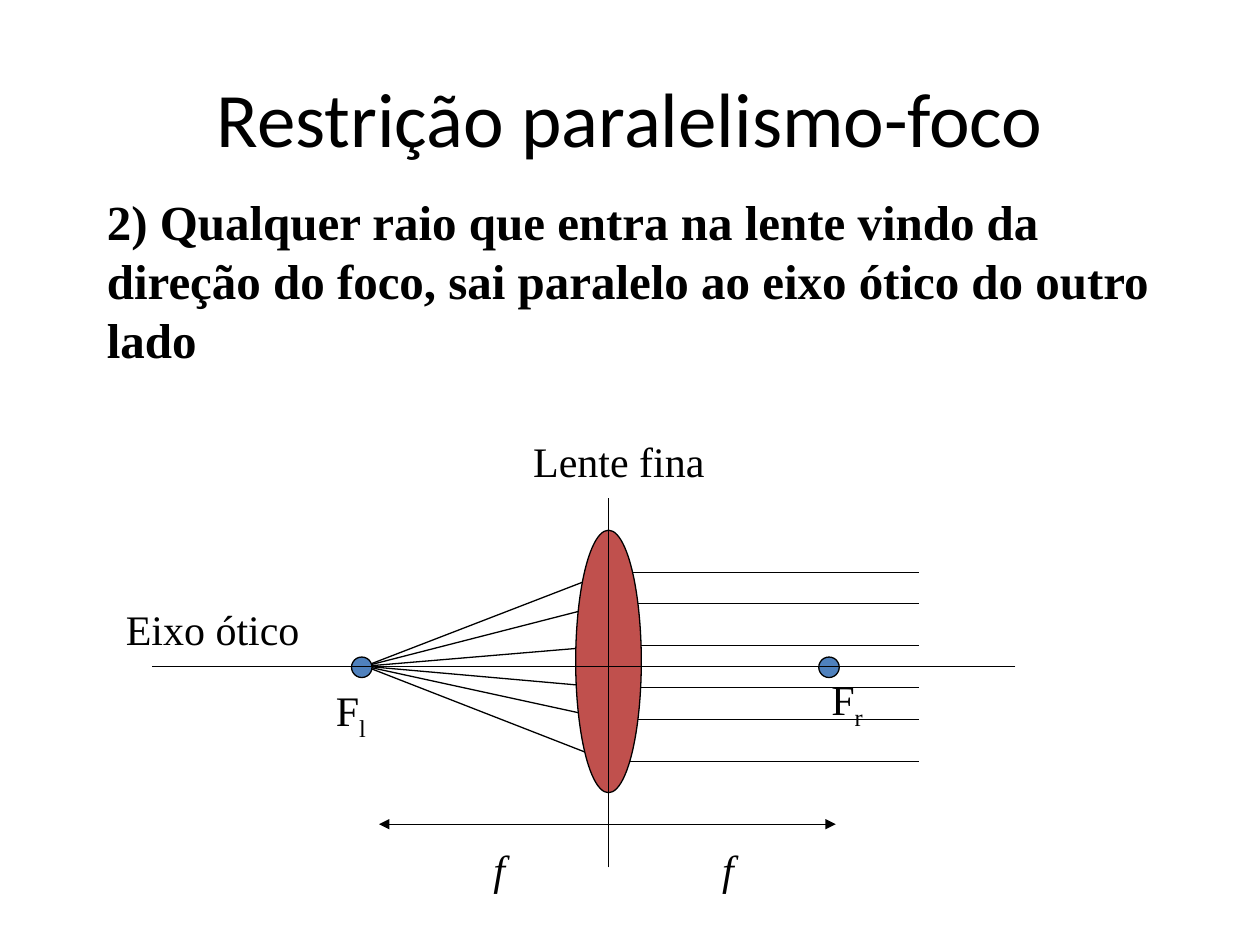
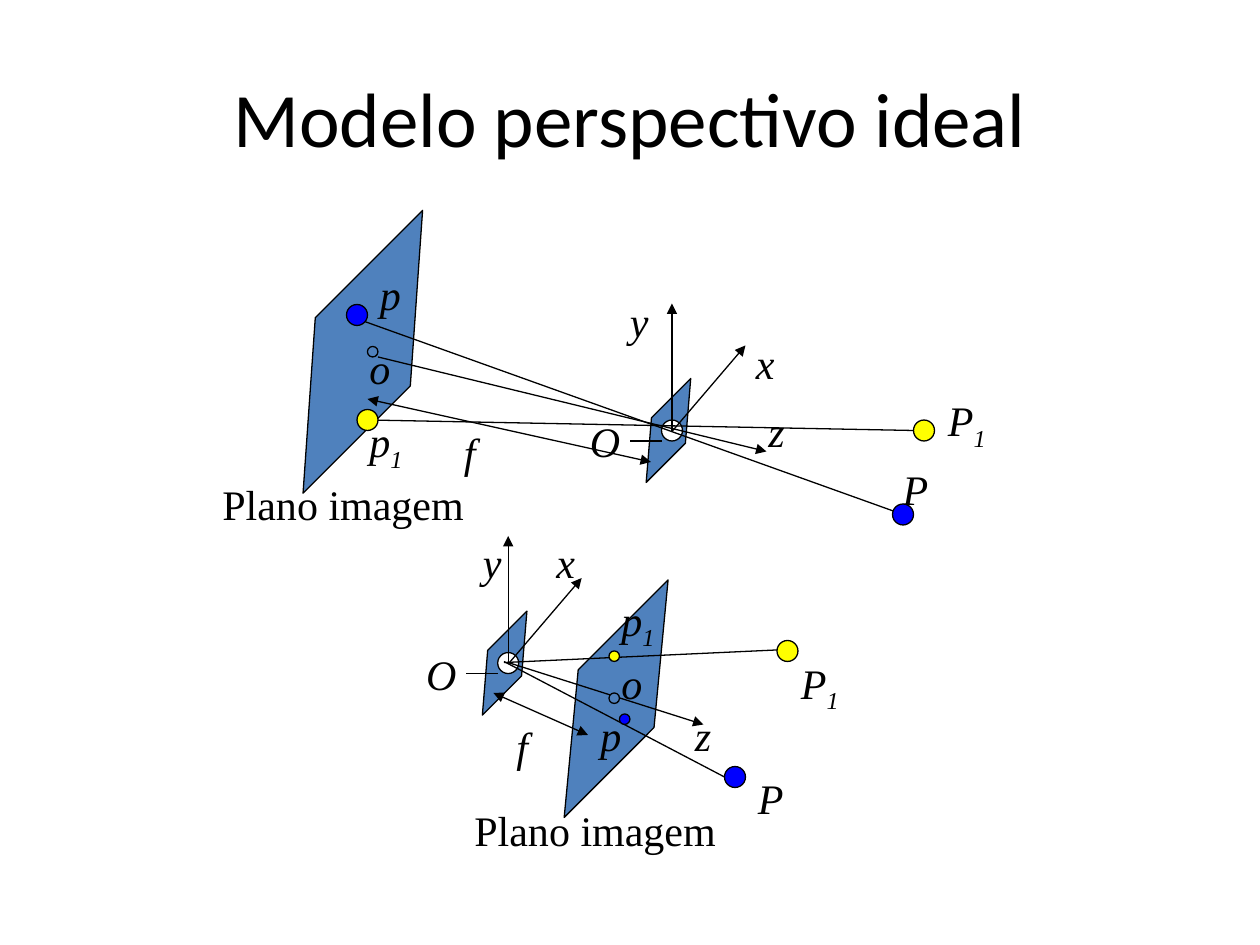
from dataclasses import dataclass

import pptx
import pptx.dml.color
import pptx.enum.shapes
import pptx.enum.text
import pptx.oxml.ns
import pptx.util
from lxml import etree

SHAPES = pptx.enum.shapes.MSO_SHAPE
ALIGN = pptx.enum.text.PP_ALIGN
ANCHOR = pptx.enum.text.MSO_ANCHOR
qn = pptx.oxml.ns.qn

COLUMNS, ROWS = 120, 90
CELL = pptx.util.Inches(10) // COLUMNS


@dataclass(frozen=True)
class Theme:
    ink: str = "000000"
    plane: str = "4F81BD"
    lens: str = "C0504D"
    white: str = "FFFFFF"
    blue: str = "0000FF"
    yellow: str = "FFFF00"
    title_font: str = "Calibri"
    body_font: str = "Times New Roman"
    title_size: int = 44
    statement_size: int = 28
    label_size: int = 24
    line_width: float = 0.75


THEME = Theme()


@dataclass(frozen=True)
class Figure:
    x: float
    y: float
    w: float
    h: float
    fill: str
    slant: float = 0


@dataclass(frozen=True)
class Line:
    x1: float
    y1: float
    x2: float
    y2: float
    ends: tuple[str, ...] = ()


@dataclass(frozen=True)
class Label:
    x: float
    y: float
    w: float
    text: str
    sub: str = ""
    italic: bool = True


@dataclass(frozen=True)
class Scene:
    pinhole: tuple[float, float]
    image_plane: Figure
    lines: list[Line]
    labels: list[Label]
    dots: list[Figure]


TO: tuple[str, ...] = ("tailEnd",)
BOTH: tuple[str, ...] = ("headEnd", "tailEnd")


def grid(*cells: float) -> list[int]:
    return [round(c * CELL) for c in cells]


def rgb(color: str) -> pptx.dml.color.RGBColor:
    return pptx.dml.color.RGBColor.from_string(color)


def set_line(line) -> None:
    line.color.rgb = rgb(THEME.ink)
    line.width = pptx.util.Pt(THEME.line_width)


def dot(x: float, y: float, fill: str, size: float = 2) -> Figure:
    return Figure(x, y, size, size, fill)


def draw_figure(s, f: Figure) -> None:
    kind = SHAPES.PARALLELOGRAM if f.slant else SHAPES.OVAL
    sp = s.shapes.add_shape(kind, *grid(f.x - f.w / 2, f.y - f.h / 2, f.w, f.h))
    if f.slant:
        sp.adjustments[0] = f.slant
        sp.rotation = 315
    sp.shadow.inherit = False
    sp.fill.solid()
    sp.fill.fore_color.rgb = rgb(f.fill)
    set_line(sp.line)


def draw_line(s, line: Line) -> None:
    sp = s.shapes.add_connector(
        pptx.enum.shapes.MSO_CONNECTOR.STRAIGHT,
        *grid(line.x1, line.y1, line.x2, line.y2),
    )
    set_line(sp.line)
    props = sp._element.spPr
    for end in line.ends:
        etree.SubElement(props.find(qn("a:ln")), qn(f"a:{end}"), type="triangle")
    etree.SubElement(props, qn("a:effectLst"))


def add_text(s, box: list[int], text: str, font: str, size: int, wrap: bool = True):
    tf = s.shapes.add_textbox(*box).text_frame
    tf.word_wrap = wrap
    p = tf.paragraphs[0]
    p.add_run().text = text
    p.font.name = font
    p.font.size = pptx.util.Pt(size)
    p.font.color.rgb = rgb(THEME.ink)
    return tf


def draw_label(s, label: Label) -> None:
    box = grid(label.x, label.y, label.w, 6.72 if label.sub else 6)
    tf = add_text(s, box, label.text, THEME.body_font, THEME.label_size, wrap=False)
    tf.auto_size = pptx.enum.text.MSO_AUTO_SIZE.SHAPE_TO_FIT_TEXT
    p = tf.paragraphs[0]
    p.font.italic = label.italic
    if label.sub:
        r = p.add_run()
        r.text = label.sub
        r._r.get_or_add_rPr().set("baseline", "-25000")


def draw_all(s, lines: list[Line], labels: list[Label], figures: list[Figure]) -> None:
    for line in lines:
        draw_line(s, line)
    for label in labels:
        draw_label(s, label)
    for figure in figures:
        draw_figure(s, figure)


def add_slide(prs, title: str):
    s = prs.slides.add_slide(prs.slide_layouts[6])
    tf = add_text(s, grid(6, 3.6, 108, 15), title, THEME.title_font, THEME.title_size)
    tf.vertical_anchor = ANCHOR.MIDDLE
    tf.paragraphs[0].alignment = ALIGN.CENTER
    return s


def build_focus(prs) -> None:
    s = add_slide(prs, "Restrição paralelismo-foco")
    lens_x, axis_y, arrow_y = 57.95, 63.45, 78.5
    left_focus, right_focus = 34.45, 78.95
    rays = []
    for y in (54.5, 57.5, 61.5, 65.5, 68.5, 72.5):
        rays.append(Line(87.5, y, lens_x, y))
        rays.append(Line(lens_x, y, left_focus + 0.3, axis_y))
    spans = [Line(lens_x, arrow_y, x, arrow_y, TO) for x in (36.1, 79.6)]
    labels = [
        Label(30.8, 64.6, 5.4, "F", "l", italic=False),
        Label(78, 63.6, 5.5, "F", "r", italic=False),
        Label(49.6, 40.9, 18.8, "Lente fina", italic=False),
        Label(10.8, 56.9, 19.1, "Eixo ótico", italic=False),
        Label(67.6, 79.7, 3.5, "f"),
        Label(45.8, 79.7, 3.5, "f"),
    ]
    figures = [dot(x, 63.55, THEME.plane, 1.95) for x in (left_focus, right_focus)]
    figures.append(Figure(lens_x, 63, 6.25, 25, THEME.lens))
    draw_all(s, rays + spans, labels, figures)
    draw_line(s, Line(lens_x, 82.6, lens_x, 47.4))
    draw_line(s, Line(96.7, axis_y, 14.5, axis_y))
    tf = add_text(
        s,
        grid(9, 17.65, 104, 18),
        "2) Qualquer raio que entra na lente vindo da direção do foco, "
        "sai paralelo ao eixo ótico do outro lado",
        THEME.body_font,
        THEME.statement_size,
    )
    tf.paragraphs[0].font.bold = True


def draw_scene(s, scene: Scene) -> None:
    x, y = scene.pinhole
    for figure in (
        scene.image_plane,
        Figure(x - 0.34, y, 10, 4, THEME.plane, 1.18),
        dot(x, y, THEME.white),
    ):
        draw_figure(s, figure)
    camera_lines = [
        Line(x - 4, y + 1, x - 1, y + 1),
        Line(x, y + 0.1, x, y - 12.1, TO),
        Line(x, y + 0.1, x + 7, y - 8.1, TO),
    ]
    origin = Label(x - 9, y - 2, 5.3, "O")
    draw_all(s, camera_lines + scene.lines, [origin] + scene.labels, scene.dots)


BEHIND = Scene(
    pinhole=(64, 41),
    image_plane=Figure(34.56, 33.5, 27.1, 11, THEME.plane, 1.15),
    lines=[
        Line(33, 30, 86, 49),
        Line(36, 34, 73, 43, TO),
        Line(35, 40, 87, 41),
        Line(35, 38, 62, 44, BOTH),
    ],
    labels=[
        Label(84.8, 43.6, 4.8, "P"),
        Label(35, 25, 4.3, "p"),
        Label(89.1, 37, 6.1, "P", "1"),
        Label(34, 39, 5.8, "p", "1"),
        Label(34, 32, 4.3, "o"),
        Label(43, 40, 3.5, "f"),
        Label(58.8, 27.6, 4.2, "y"),
        Label(70.8, 31.6, 4.2, "x"),
        Label(72, 38, 4, "z"),
        Label(20, 45, 25.8, "Plano imagem", italic=False),
    ],
    dots=[
        dot(86, 49, THEME.blue),
        dot(34, 30, THEME.blue),
        dot(88, 41, THEME.yellow),
        dot(35, 40, THEME.yellow),
        dot(35.5, 33.5, THEME.plane, 1),
    ],
)

IN_FRONT = Scene(
    pinhole=(48.4, 63.15),
    image_plane=Figure(58.68, 66.54, 23, 9, THEME.plane, 1.21),
    lines=[
        Line(48, 63, 69, 74),
        Line(48.4, 63.1, 67, 69, TO),
        Line(48, 63.1, 74, 61.9),
        Line(47, 66, 56, 70, BOTH),
    ],
    labels=[
        Label(71, 73, 4.8, "P"),
        Label(56, 67, 4.3, "p"),
        Label(75.1, 62, 6.1, "P", "1"),
        Label(58, 56, 5.8, "p", "1"),
        Label(58, 62, 4.3, "o"),
        Label(48, 68, 3.5, "f"),
        Label(44.8, 50.5, 4.2, "y"),
        Label(51.8, 50.5, 4.2, "x"),
        Label(65, 67, 4, "z"),
        Label(44, 76, 25.8, "Plano imagem", italic=False),
    ],
    dots=[
        dot(70, 74, THEME.blue),
        dot(59.5, 68.5, THEME.blue, 1),
        dot(75, 62, THEME.yellow),
        dot(58.5, 62.5, THEME.yellow, 1),
        dot(58.5, 66.5, THEME.plane, 1),
    ],
)


def build_perspective(prs) -> None:
    s = add_slide(prs, "Modelo perspectivo ideal")
    for scene in (BEHIND, IN_FRONT):
        draw_scene(s, scene)


def main() -> None:
    prs = pptx.Presentation()
    prs.slide_width, prs.slide_height = COLUMNS * CELL, ROWS * CELL
    build_focus(prs)
    build_perspective(prs)
    prs.save("out.pptx")


if __name__ == "__main__":
    main()
